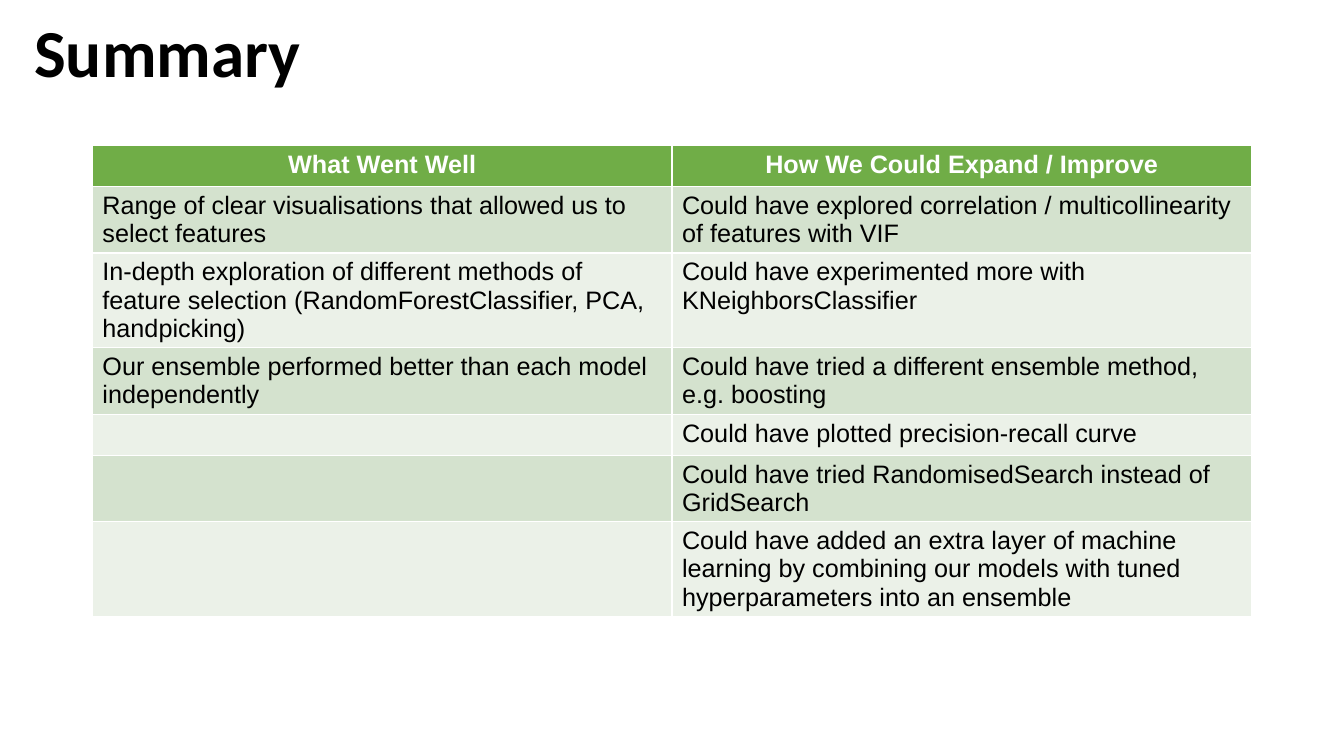
"""Build the project summary slide with its two-column review table."""
from pptx import Presentation
from pptx.dml.color import RGBColor
from pptx.enum.text import MSO_ANCHOR, MSO_AUTO_SIZE, PP_ALIGN
from pptx.util import Pt

TITLE = "Summary"
HEADINGS = ("What Went Well", "How We Could Expand / Improve")
POINTS = [
    ("Range of clear visualisations that allowed us to select features",
     "Could have explored correlation / multicollinearity of features with VIF"),
    ("In-depth exploration of different methods of feature selection "
     "(RandomForestClassifier, PCA, handpicking)",
     "Could have experimented more with KNeighborsClassifier"),
    ("Our ensemble performed better than each model independently",
     "Could have tried a different ensemble method, e.g. boosting"),
    ("", "Could have plotted precision-recall curve"),
    ("", "Could have tried RandomisedSearch instead of GridSearch"),
    ("", "Could have added an extra layer of machine learning by combining our "
         "models with tuned hyperparameters into an ensemble"),
]

BLACK = RGBColor(0x00, 0x00, 0x00)
WHITE = RGBColor(0xFF, 0xFF, 0xFF)
HEADER_GREEN = RGBColor(0x70, 0xAD, 0x47)
BANDS = (RGBColor(0xD4, 0xE2, 0xCE), RGBColor(0xEB, 0xF1, 0xE8))

COLUMN_WIDTH = 414
ROW_HEIGHT = 29.2


def add_run(paragraph, text, font_name, size, color, bold):
    run = paragraph.add_run()
    run.text = text
    run.font.name = font_name
    run.font.size = Pt(size)
    run.font.color.rgb = color
    run.font.bold = bold


def add_title(slide):
    title = slide.shapes.title
    title.left, title.top = Pt(17.3), Pt(-12.2)
    title.width, title.height = Pt(828), Pt(104.4)
    frame = title.text_frame
    frame.auto_size = MSO_AUTO_SIZE.NONE
    frame.vertical_anchor = MSO_ANCHOR.MIDDLE
    paragraph = frame.paragraphs[0]
    paragraph.alignment = PP_ALIGN.LEFT
    paragraph.line_spacing = 0.9
    add_run(paragraph, TITLE, "Calibri", 48, BLACK, True)


def add_review_table(slide):
    rows = [HEADINGS, *POINTS]
    table = slide.shapes.add_table(
        len(rows), len(HEADINGS), Pt(66), Pt(104),
        Pt(COLUMN_WIDTH * len(HEADINGS)), Pt(ROW_HEIGHT * len(rows))).table
    for column in table.columns:
        column.width = Pt(COLUMN_WIDTH)
    for row_index, texts in enumerate(rows):
        is_header = row_index == 0
        table.rows[row_index].height = Pt(ROW_HEIGHT)
        for column_index, text in enumerate(texts):
            cell = table.cell(row_index, column_index)
            cell.fill.solid()
            cell.fill.fore_color.rgb = HEADER_GREEN if is_header else BANDS[(row_index - 1) % 2]
            paragraph = cell.text_frame.paragraphs[0]
            paragraph.alignment = PP_ALIGN.CENTER if is_header else PP_ALIGN.LEFT
            if text:
                add_run(paragraph, text, "Arial", 18, WHITE if is_header else BLACK, is_header)


def main():
    presentation = Presentation()
    presentation.slide_width, presentation.slide_height = Pt(960), Pt(540)
    slide = presentation.slides.add_slide(presentation.slide_layouts.get_by_name("Title Only"))
    add_title(slide)
    add_review_table(slide)
    presentation.save("out.pptx")


if __name__ == "__main__":
    main()
